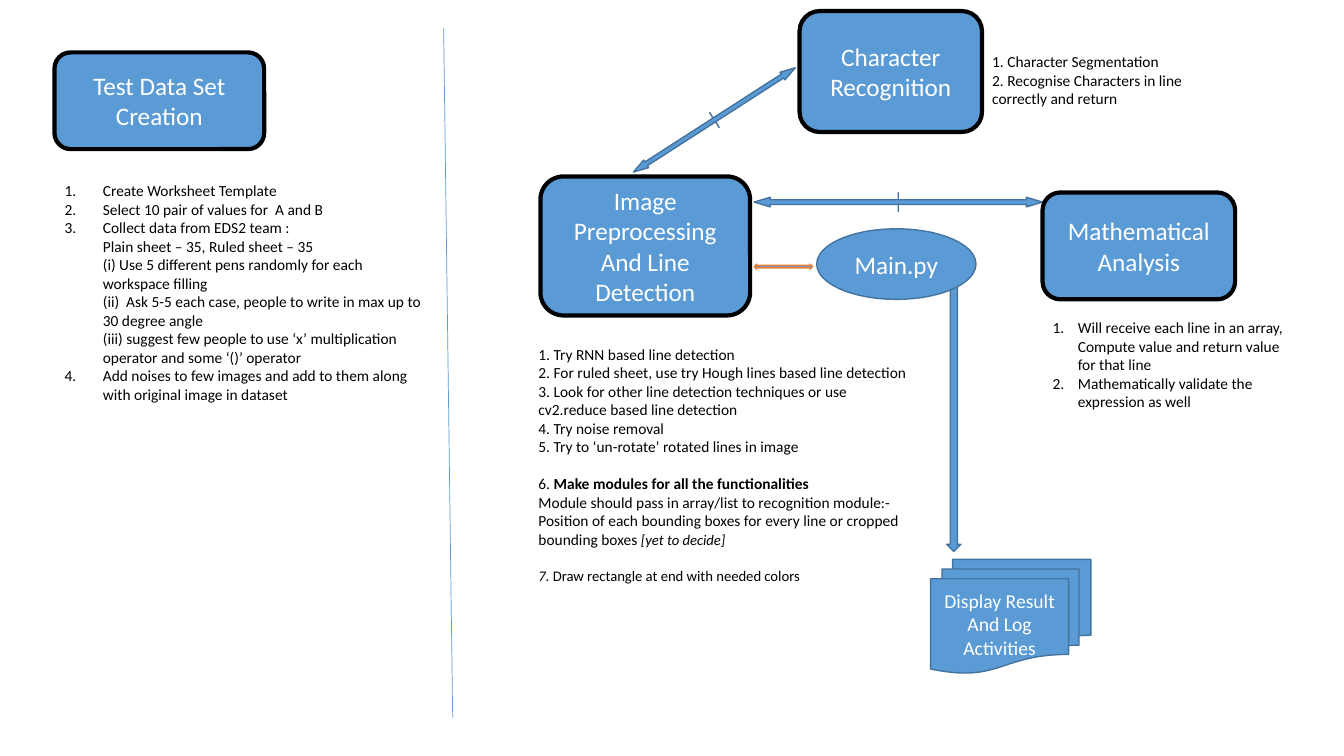
import pptx
import pptx.util
import pptx.dml.color
import pptx.enum.shapes
import pptx.enum.text
import lxml.etree

Inches = pptx.util.Inches
Pt = pptx.util.Pt
SHAPE = pptx.enum.shapes.MSO_SHAPE
ANCHOR = pptx.enum.text.MSO_ANCHOR
ALIGN = pptx.enum.text.PP_ALIGN

FONT = "Calibri"
BLUE, EDGE, ORANGE = "5B9BD5", "43739E", "ED7D31"
BLACK, WHITE = "000000", "FFFFFF"
CALLOUT = (0.25, 0.25, 0.838, 0)
BODY_SIZE, SMALL_SIZE, GAP = 11, 10.5, 13.4

MODULES = [
    ((0.54, 0.52, 2.08, 0.96), ["Test Data Set Creation"]),
    ((5.36, 1.75, 2.08, 1.38), ["Image Preprocessing", "And Line Detection"]),
    ((7.93, 0.11, 1.81, 1.2), ["Character Recognition"]),
    ((10.34, 1.91, 1.91, 1.06), ["Mathematical Analysis"]),
]

ARROWS = [
    (SHAPE.DOWN_ARROW, (9.39, 2.8, 0.14, 2.67), EDGE, 0, ()),
    (SHAPE.LEFT_RIGHT_ARROW, (7.48, 2.62, 0.58, 0.05), ORANGE, 0, ()),
    (SHAPE.LEFT_RIGHT_ARROW_CALLOUT, (6.13, 1.1, 1.91, 0.18), EDGE, 327.2, CALLOUT),
    (SHAPE.LEFT_RIGHT_ARROW_CALLOUT, (7.48, 1.91, 2.86, 0.19), EDGE, 0, CALLOUT),
]

NODES = [
    (SHAPE.OVAL, (8.1, 2.27, 1.58, 0.7), ["Main.py"], 18),
    (SHAPE.FLOWCHART_MULTIDOCUMENT, (9.23, 5.55, 1.59, 1.13),
     ["Display Result", "And Log Activities"], 14),
]

DIVIDER = (4.4, 0.28, 4.49, 7.12)

DATA_SET_STEPS = [
    "Create Worksheet Template",
    "Select 10 pair of values for  A and B",
    "Collect data from EDS2 team : \n"
    "Plain sheet – 35, Ruled sheet – 35\n"
    "(i) Use 5 different pens randomly for each workspace filling\n"
    "(ii)  Ask 5-5 each case, people to write in max up to \n"
    "30 degree angle\n"
    "(iii) suggest few people to use ‘x’ multiplication operator and some ‘()’ operator",
    "Add noises to few images and add to them along with original image in dataset",
]

DETECTION_STEPS = [
    "1. Try RNN based line detection\n"
    "2. For ruled sheet, use try Hough lines based line detection",
    "3. Look for other line detection techniques or use cv2.reduce based line detection",
    "4. Try noise removal",
    "5. Try to ‘un-rotate’ rotated lines in image",
    [("6. ", {}), ("Make modules for all the functionalities", {"bold": True})],
    "Module should pass in array/list to recognition module:-",
    [("Position of each bounding boxes for every line or cropped bounding boxes ", {}),
     ("[yet to decide]", {"size": SMALL_SIZE, "italic": True})],
    [("7. ", {"size": SMALL_SIZE, "italic": True}),
     ("Draw rectangle at end with needed colors", {"size": SMALL_SIZE})],
]

RECOGNITION_STEPS = [
    "1. Character Segmentation",
    "2. Recognise Characters in line correctly and return",
]

ANALYSIS_STEPS = [
    "Will receive each line in an array,\nCompute value and return value for that line",
    "Mathematically validate the expression as well",
]

LISTS = [
    ((0.54, 1.75, 3.86, 2.69), DATA_SET_STEPS, 0.38, ()),
    ((5.24, 3.37, 3.86, 2.68), DETECTION_STEPS, 0, (4, 7)),
    ((9.74, 0.47, 2.14, 0.66), RECOGNITION_STEPS, 0, ()),
    ((10.34, 3.11, 2.56, 1.03), ANALYSIS_STEPS, 0.25, ()),
]


def color(value):
    return pptx.dml.color.RGBColor.from_string(value)


def add_text(paragraph, text, size, tint, bold=False, italic=False):
    for index, line in enumerate(text.split("\n")):
        if index:
            paragraph.add_line_break()
        run = paragraph.add_run()
        run.text = line
        run.font.name = FONT
        run.font.size = Pt(size)
        run.font.bold = bold
        run.font.italic = italic
        run.font.color.rgb = color(tint)


def paragraphs_for(frame, items):
    for index, item in enumerate(items):
        yield (frame.add_paragraph() if index else frame.paragraphs[0]), item


def add_block(slide, kind, box, edge, width=1, lines=(), size=18):
    shape = slide.shapes.add_shape(kind, *map(Inches, box))
    shape.shadow.inherit = False
    shape.fill.solid()
    shape.fill.fore_color.rgb = color(BLUE)
    shape.line.color.rgb = color(edge)
    shape.line.width = Pt(width)
    shape.text_frame.word_wrap = True
    shape.text_frame.vertical_anchor = ANCHOR.MIDDLE
    for paragraph, line in paragraphs_for(shape.text_frame, lines):
        paragraph.alignment = ALIGN.CENTER
        add_text(paragraph, line, size, WHITE)
    return shape


def set_numbering(paragraph, indent):
    properties = paragraph._p.get_or_add_pPr()
    properties.set("marL", str(Inches(indent)))
    properties.set("indent", str(-Inches(indent)))
    namespace = pptx.oxml.ns.qn("a:buNone").replace("buNone", "")
    if indent:
        lxml.etree.SubElement(properties, namespace + "buFont", typeface="+mj-lt")
        lxml.etree.SubElement(properties, namespace + "buAutoNum", type="arabicPeriod")
    else:
        lxml.etree.SubElement(properties, namespace + "buNone")


def fill_list(placeholder, box, items, indent, spaced):
    placeholder.left, placeholder.top, placeholder.width, placeholder.height = map(Inches, box)
    frame = placeholder.text_frame
    frame.word_wrap = True
    frame.auto_size = pptx.enum.text.MSO_AUTO_SIZE.SHAPE_TO_FIT_TEXT
    frame.vertical_anchor = ANCHOR.TOP
    for index, (paragraph, item) in enumerate(paragraphs_for(frame, items)):
        paragraph.alignment = ALIGN.LEFT
        paragraph.space_before = Pt(GAP if index in spaced else 0)
        set_numbering(paragraph, indent)
        for text, style in ([(item, {})] if isinstance(item, str) else item):
            add_text(paragraph, text, **{"size": BODY_SIZE, "tint": BLACK, **style})


def add_divider(slide):
    divider = slide.shapes.add_connector(
        pptx.enum.shapes.MSO_CONNECTOR.STRAIGHT, *map(Inches, DIVIDER))
    divider.line.color.rgb = color(BLUE)
    divider.line.width = Pt(0.5)
    lxml.etree.SubElement(divider._element.spPr, pptx.oxml.ns.qn("a:effectLst"))


def main():
    presentation = pptx.Presentation()
    presentation.slide_width = Inches(13.33)
    presentation.slide_height = Inches(7.5)
    slide = presentation.slides.add_slide(
        presentation.slide_layouts.get_by_name("Comparison"))
    title, *bodies = [p for p in slide.placeholders if p.placeholder_format.idx < 10]
    title._element.getparent().remove(title._element)

    for body, entry in zip(bodies, LISTS):
        fill_list(body, *entry)
    for kind, box, edge, rotation, adjustments in ARROWS:
        arrow = add_block(slide, kind, box, edge)
        arrow.rotation = rotation
        for index, value in enumerate(adjustments):
            arrow.adjustments[index] = value
    for box, lines in MODULES:
        add_block(slide, SHAPE.ROUNDED_RECTANGLE, box, BLACK, 3, lines)
    for kind, box, lines, size in NODES:
        add_block(slide, kind, box, EDGE, 1, lines, size)
    add_divider(slide)
    presentation.save("out.pptx")


if __name__ == "__main__":
    main()
